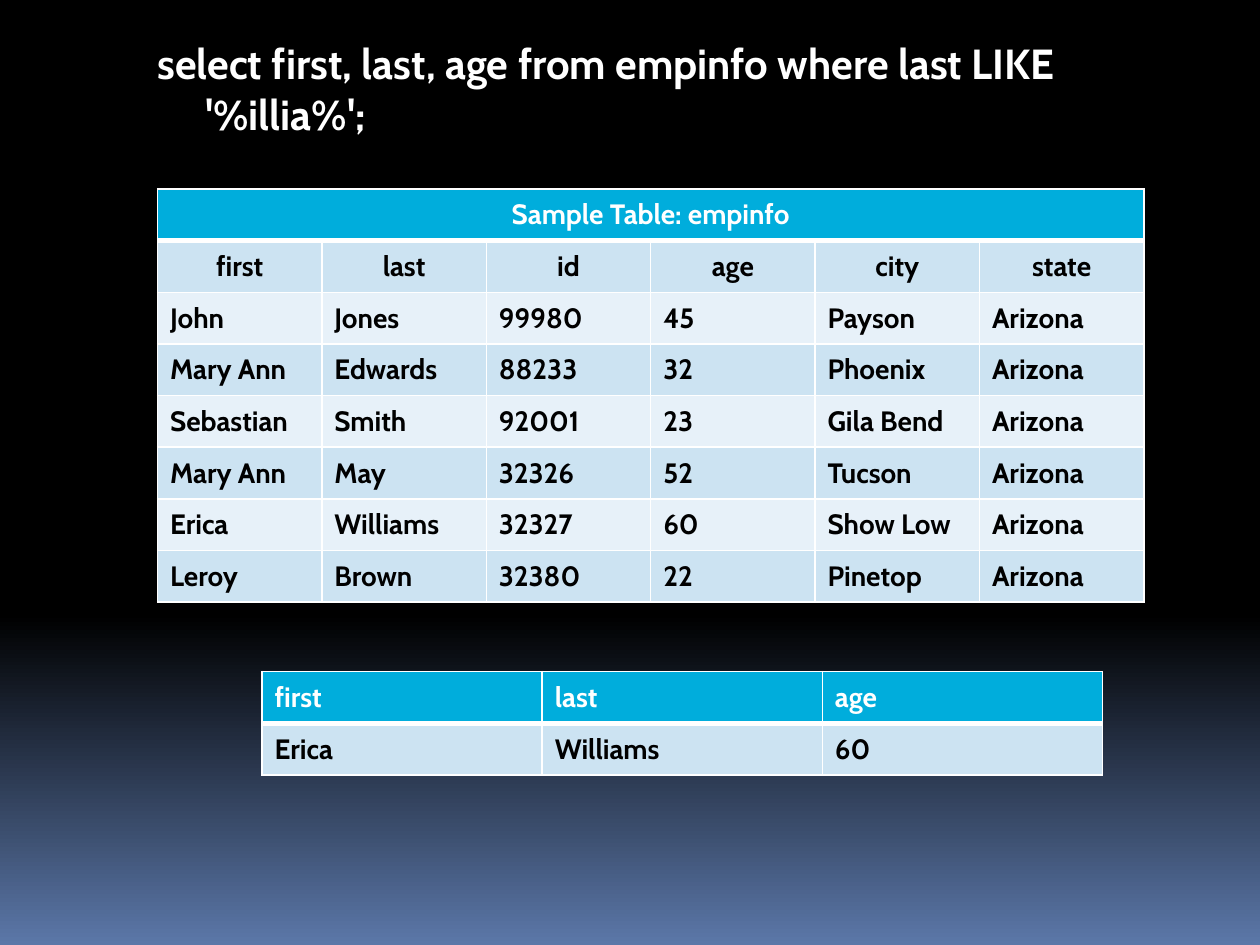
"""Build the slide on a LIKE query with its sample and result tables."""
from lxml import etree
from pptx import Presentation
from pptx.dml.color import RGBColor
from pptx.enum.text import MSO_ANCHOR, PP_ALIGN
from pptx.oxml.ns import qn
from pptx.util import Inches, Pt

MIDDLE, LEFT, CENTER = MSO_ANCHOR.MIDDLE, PP_ALIGN.LEFT, PP_ALIGN.CENTER
WHITE = RGBColor(0xFF, 0xFF, 0xFF)
BLACK = RGBColor(0, 0, 0)
BLUE = RGBColor(0x5B, 0x77, 0xA8)
CYAN = RGBColor(0x00, 0xAD, 0xDC)
BANDS = RGBColor(0xCC, 0xE3, 0xF2), RGBColor(0xE7, 0xF1, 0xF9)

QUERY = "select first, last, age from empinfo where last LIKE '%illia%';"
SAMPLE = [
    ("Sample Table: empinfo", "", "", "", "", ""),
    ("first", "last", "id", "age", "city", "state"),
    ("John", "Jones", "99980", "45", "Payson", "Arizona"),
    ("Mary Ann", "Edwards", "88233", "32", "Phoenix", "Arizona"),
    ("Sebastian", "Smith", "92001", "23", "Gila Bend", "Arizona"),
    ("Mary Ann", "May", "32326", "52", "Tucson", "Arizona"),
    ("Erica", "Williams", "32327", "60", "Show Low", "Arizona"),
    ("Leroy", "Brown", "32380", "22", "Pinetop", "Arizona"),
]
RESULT = [("first", "last", "age"), ("Erica", "Williams", "60")]
TABLES = [
    dict(rows=SAMPLE, left=1.25, top=1.5, width=7.83, heads=2, indent=0.38),
    dict(rows=RESULT, left=2.08, top=5.33, width=6.67, heads=0, indent=0),
]
ROW = 0.41


def write(para, text, size, color, left, first):
    props = para._p.get_or_add_pPr()
    for key, value in {"marL": left, "indent": first}.items():
        props.set(key, str(Inches(value)))
    run = para.add_run()
    run.text = text
    form = {"name": "Cabin", "size": Pt(size), "bold": True}
    for key, value in form.items():
        setattr(run.font, key, value)
    run.font.color.rgb = color


def border(cell, sides):
    props = cell._tc.get_or_add_tcPr()
    for side, width in sides.items():
        line = etree.SubElement(props, qn(f"a:ln{side}"), w=str(Pt(width)))
        fill = etree.SubElement(line, qn("a:solidFill"))
        etree.SubElement(fill, qn("a:srgbClr"), val=str(WHITE))


def add_grid(slide, rows, left, top, width, heads, indent):
    count = len(rows[0])
    size = [Inches(n) for n in (left, top, width, ROW * len(rows))]
    table = slide.shapes.add_table(len(rows), count, *size).table
    for col in table.columns:
        col.width = Inches(width / count)
    for r, row in enumerate(rows):
        table.rows[r].height = Inches(ROW)
        for c, text in enumerate(row):
            cell = table.cell(r, c)
            cell.vertical_anchor = MIDDLE
            border(cell, {"L": 1, "R": 1, "T": 3 if r == 1 else 1,
                          "B": 3 if r == 0 else 1})
            cell.fill.solid()
            cell.fill.fore_color.rgb = BANDS[(r - 1) % 2] if r else CYAN
            if text:
                para = cell.text_frame.paragraphs[0]
                para.alignment = CENTER if r < heads else LEFT
                write(para, text, 16, BLACK if r else WHITE, indent, -indent)
    if not all(rows[0]):
        table.cell(0, 0).merge(table.cell(0, count - 1))


def main():
    deck = Presentation()
    deck.slide_width, deck.slide_height = Inches(10), Inches(7.5)
    slide = deck.slides.add_slide(deck.slide_layouts[6])
    back = slide.background.fill
    back.gradient()
    back.gradient_angle = 270
    for stop, place, color in zip(back.gradient_stops, (0.65, 1), (BLACK, BLUE)):
        stop.position = place
        stop.color.rgb = color
    size = [Inches(n) for n in (1.08, 0.25, 8.5, 0.83)]
    frame = slide.shapes.add_textbox(*size).text_frame
    frame.word_wrap = True
    write(frame.paragraphs[0], QUERY, 24, WHITE, 0.45, -0.38)
    for spec in TABLES:
        add_grid(slide, **spec)
    deck.save("out.pptx")


if __name__ == "__main__":
    main()
